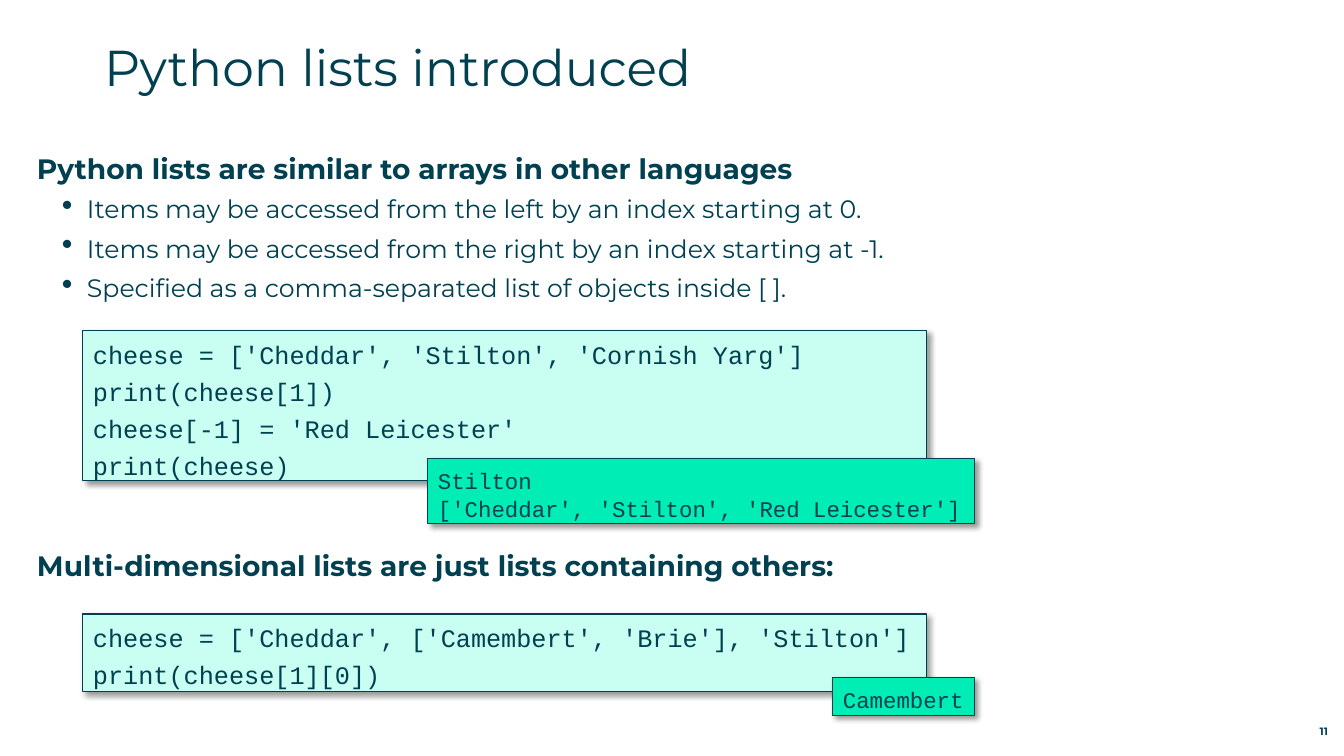
from lxml import etree
from pptx import Presentation
from pptx.dml.color import RGBColor
from pptx.enum.shapes import MSO_SHAPE
from pptx.enum.text import MSO_ANCHOR, PP_ALIGN
from pptx.oxml.ns import qn
from pptx.util import Pt

PX = 914400 / 100.8
INK = RGBColor(0x00, 0x40, 0x50)
PALE = RGBColor(0xC8, 0xFF, 0xF2)
GREEN = RGBColor(0x00, 0xED, 0xB5)
RECT = MSO_SHAPE.RECTANGLE
TOP, BOTTOM = MSO_ANCHOR.TOP, MSO_ANCHOR.BOTTOM
LEFT, RIGHT = PP_ALIGN.LEFT, PP_ALIGN.RIGHT
SANS, MONO = "Montserrat", "Courier New"


def px(n):
    return round(n * PX)


def bullet(para):
    props = para._p.get_or_add_pPr()
    props.set("marL", str(px(50)))
    props.set("indent", str(px(-25)))
    etree.SubElement(props, qn("a:buSzPct"), val="125000")
    etree.SubElement(props, qn("a:buChar"), char="•")


def write(shape, lines, size, font=SANS, bold=False, align=LEFT, anchor=TOP,
          pad=(0, 0, 0, 0), before=0, after=0, dots=False, more=False):
    """Fill a shape with lines; more=True adds them below its present text."""
    frame = shape.text_frame
    frame.word_wrap = True
    frame.vertical_anchor = anchor
    (frame.margin_left, frame.margin_top,
     frame.margin_right, frame.margin_bottom) = map(px, pad)
    for i, line in enumerate(lines):
        first = i == 0 and not more
        para = frame.paragraphs[0] if first else frame.add_paragraph()
        para.text = line
        if dots:
            bullet(para)
        para.alignment = align
        para.space_before = Pt(0 if first else before)
        para.space_after = Pt(after)
        para.font.name = font
        para.font.size = Pt(size)
        para.font.bold = bold
        para.font.color.rgb = INK


def area(slide, x, y, w, h):
    return slide.shapes.add_textbox(px(x), px(y), px(w), px(h))


def shade(shape):
    """Give a shape a soft shadow to the lower right."""
    shape.shadow.inherit = False
    effects = shape._element.spPr.find(qn("a:effectLst"))
    outer = etree.SubElement(effects, qn("a:outerShdw"), blurRad=str(Pt(4)),
                             dist=str(Pt(3)), dir="2700000", algn="tl",
                             rotWithShape="0")
    tint = etree.SubElement(outer, qn("a:srgbClr"), val="000000")
    etree.SubElement(tint, qn("a:alpha"), val="40000")


def panel(slide, x, y, w, h, lines, fill, size, before):
    box = slide.shapes.add_shape(RECT, px(x), px(y), px(w), px(h))
    box.fill.solid()
    box.fill.fore_color.rgb = fill
    box.line.color.rgb = INK
    box.line.width = Pt(0.75)
    shade(box)
    write(box, lines, size, font=MONO, pad=(10, 8, 0, 0), before=before)


def sample(slide, x, y, w, h, code, out, inset, drop):
    """Code panel with its output panel over the lower right corner."""
    panel(slide, x, y, w, h, code, PALE, 18, 4.8)
    tall = 11 + 27 * len(out)
    panel(slide, x + inset, y + drop, w + 48 - inset, tall, out, GREEN, 16, 1.2)


def head(slide, x, y, w, h):
    title = slide.shapes.title
    title.left, title.top, title.width, title.height = map(px, (x, y, w, h))
    write(title, ["Python lists introduced"], 36)


def main():
    deck = Presentation()
    deck.slide_width, deck.slide_height = px(1344), px(756)
    slide = deck.slides.add_slide(deck.slide_layouts[5])
    head(slide, 104, 36, 1270, 89)

    intro = area(slide, 37, 151, 1269, 164)
    write(intro, ["Python lists are similar to arrays in other languages"], 20,
          bold=True, after=6.5)
    write(intro, ["Items may be accessed from the left by an index starting at 0.",
                  "Items may be accessed from the right by an index starting at -1.",
                  "Specified as a comma-separated list of objects inside [ ]."],
          18, after=6.5, dots=True, more=True)
    nested = area(slide, 37, 548, 1269, 36)
    write(nested, ["Multi-dimensional lists are just lists containing others:"],
          20, bold=True)

    sample(slide, 83, 614, 844, 78,
           ["cheese = ['Cheddar', ['Camembert', 'Brie'], 'Stilton']",
            "print(cheese[1][0])"],
           ["Camembert"], 750, 64)
    sample(slide, 83, 331, 844, 150,
           ["cheese = ['Cheddar', 'Stilton', 'Cornish Yarg']",
            "print(cheese[1])",
            "cheese[-1] = 'Red Leicester'",
            "print(cheese)"],
           ["Stilton", "['Cheddar', 'Stilton', 'Red Leicester']"], 345, 128)

    page = area(slide, 1241, 718, 87, 20)
    write(page, ["11"], 7.6, bold=True, align=RIGHT, anchor=BOTTOM)
    deck.save("out.pptx")


if __name__ == "__main__":
    main()
